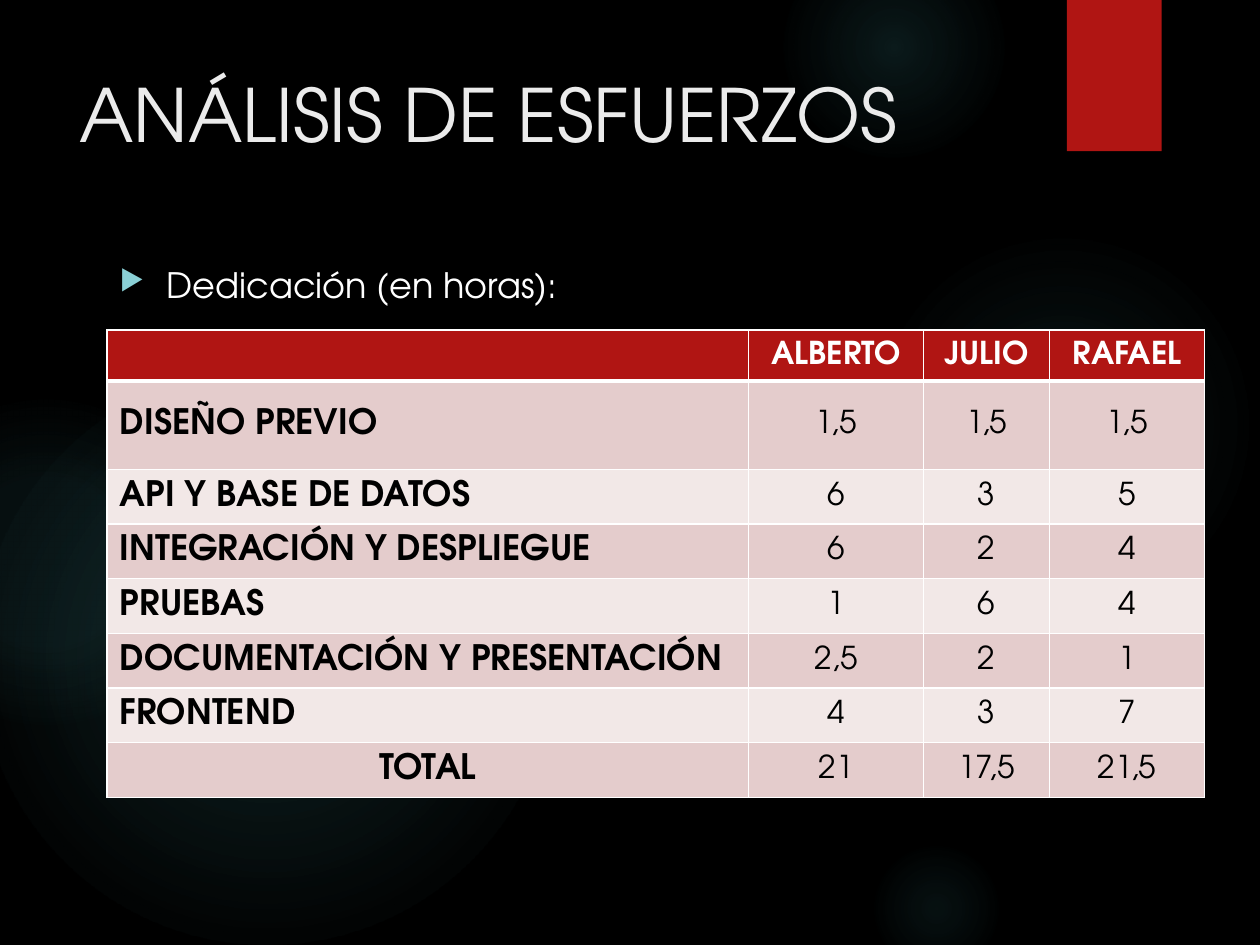
from lxml import etree
from pptx import Presentation
from pptx.dml.color import RGBColor
from pptx.enum.shapes import MSO_SHAPE as Preset
from pptx.enum.text import MSO_ANCHOR as Anchor, PP_ALIGN as Align
from pptx.oxml import parse_xml
from pptx.oxml.ns import nsdecls, qn
from pptx.util import Cm, Pt

BLACK = RGBColor(0x00, 0x00, 0x00)
WHITE = RGBColor(0xFF, 0xFF, 0xFF)
TITLE_GREY = RGBColor(0xEB, 0xEB, 0xEB)
RED = RGBColor(0xB0, 0x15, 0x13)
BAND_DARK = RGBColor(0xE4, 0xCC, 0xCC)
BAND_LIGHT = RGBColor(0xF2, 0xE8, 0xE7)
GLOW = RGBColor(0x50, 0xB9, 0xC1)
BULLET = RGBColor(0x8A, 0xD0, 0xD6)
FONT = "TeX Gyre Adventor"

GLOWS = [
    ((17.5, 4.65, 7.82), ((0, 7), (36, 6), (69, 0))),
    ((15.8, -1.27, 4.45), ((0, 14), (36, 7), (73, 0))),
    ((17.5, 16.94, 2.74), ((0, 9), (36, 5), (66, 0))),
    ((-0.43, 7.42, 11.63), ((0, 11), (36, 10), (75, 0))),
    ((-2.34, 8.05, 6.55), ((0, 8), (36, 8), (72, 0))),
]
HEADER = ["", "ALBERTO", "JULIO", "RAFAEL"]
EFFORT = [
    ["DISEÑO PREVIO", "1,5", "1,5", "1,5"],
    ["API Y BASE DE DATOS", "6", "3", "5"],
    ["INTEGRACIÓN Y DESPLIEGUE", "6", "2", "4"],
    ["PRUEBAS", "1", "6", "4"],
    ["DOCUMENTACIÓN Y PRESENTACIÓN", "2,5", "2", "1"],
    ["FRONTEND", "4", "3", "7"],
    ["TOTAL", "21", "17,5", "21,5"],
]
COLUMN_SHARES = [12.93, 3.53, 2.54, 3.12]
ROW_HEIGHT, TALL_ROW_HEIGHT = 1.03, 1.78


def apply_format(target, values):
    """Set each attribute of the target from a dict of format values."""
    for name, value in values.items():
        setattr(target, name, value)


def write_text(paragraph, text, size, color, bold=False):
    """Add one formatted run to the paragraph."""
    run = paragraph.add_run()
    run.text = text
    apply_format(run.font, {"name": FONT, "size": Pt(size), "bold": bold})
    run.font.color.rgb = color


def add_plain_shape(slide, preset, box):
    """Add a preset shape with neither shadow nor outline."""
    shape = slide.shapes.add_shape(preset, *map(Cm, box))
    shape.shadow.inherit = False
    shape.line.fill.background()
    return shape


def add_glow(slide, box, stops):
    """Add a circle that fades out from its centre."""
    left, top, diameter = box
    shape = add_plain_shape(slide, Preset.OVAL, (left, top, diameter, diameter))
    stop_xml = "".join(
        f'<a:gs pos="{position * 1000}"><a:srgbClr val="{GLOW}">'
        f'<a:alpha val="{alpha * 1000}"/></a:srgbClr></a:gs>'
        for position, alpha in stops
    )
    gradient = parse_xml(
        f'<a:gradFill {nsdecls("a")}><a:gsLst>{stop_xml}</a:gsLst><a:path path="circle">'
        '<a:fillToRect l="50000" t="50000" r="50000" b="50000"/></a:path></a:gradFill>'
    )
    shape.element.spPr.find(qn("a:prstGeom")).addnext(gradient)


def add_backdrop(slide, width):
    """Paint the black background, the glows and the red ribbon."""
    slide.background.fill.solid()
    slide.background.fill.fore_color.rgb = BLACK
    for box, stops in GLOWS:
        add_glow(slide, box, stops)
    ribbon = add_plain_shape(slide, Preset.RECTANGLE, (width - 3.89, 0, 1.91, 3.05))
    ribbon.fill.solid()
    ribbon.fill.fore_color.rgb = RED


def add_text_box(slide, box, text, size, color):
    """Add a wrapping text box and return its paragraph."""
    frame = slide.shapes.add_textbox(*map(Cm, box)).text_frame
    apply_format(frame, {"word_wrap": True, "vertical_anchor": Anchor.TOP})
    paragraph = frame.paragraphs[0]
    write_text(paragraph, text, size, color)
    return paragraph


def add_bullet_line(slide, box, text):
    """Add a line of text with a triangular bullet."""
    paragraph = add_text_box(slide, box, text, 20, WHITE)
    paragraph.space_before = Pt(10)
    properties = paragraph._p.get_or_add_pPr()
    properties.set("marL", str(Cm(0.95)))
    properties.set("indent", str(-Cm(0.95)))
    color = etree.SubElement(properties, qn("a:buClr"))
    etree.SubElement(color, qn("a:srgbClr"), val=str(BULLET))
    etree.SubElement(properties, qn("a:buSzPct"), val="80000")
    etree.SubElement(properties, qn("a:buChar"), char="▶")


def set_borders(cell, widths):
    """Give the cell white borders, with widths in points by side."""
    properties = cell._tc.get_or_add_tcPr()
    for index, side in enumerate("LRTB"):
        border = parse_xml(
            f'<a:ln{side} {nsdecls("a")} w="{Pt(widths.get(side, 1))}"><a:solidFill>'
            f'<a:srgbClr val="{WHITE}"/></a:solidFill></a:ln{side}>'
        )
        properties.insert(index, border)


def fill_cell(cell, text, row, column):
    """Style one cell according to its row and column."""
    is_header, is_label = row == 0, column == 0
    cell.fill.solid()
    cell.fill.fore_color.rgb = RED if is_header else (BAND_LIGHT, BAND_DARK)[row % 2]
    cell.vertical_anchor = Anchor.MIDDLE
    set_borders(cell, {0: {"B": 3}, 1: {"T": 3}}.get(row, {}))
    paragraph = cell.text_frame.paragraphs[0]
    centred = not is_label or text == "TOTAL"
    paragraph.alignment = Align.CENTER if centred else Align.LEFT
    if text:
        size = 20 if is_label else 18
        write_text(paragraph, text, size, WHITE if is_header else BLACK, is_header or is_label)


def add_effort_table(slide, left, top, width):
    """Add the table of hours per task and person."""
    rows = [HEADER, *EFFORT]
    heights = [TALL_ROW_HEIGHT if index == 1 else ROW_HEIGHT for index in range(len(rows))]
    box = map(Cm, (left, top, width, sum(heights)))
    table = slide.shapes.add_table(len(rows), len(HEADER), *box).table
    for column, share in zip(table.columns, COLUMN_SHARES):
        column.width = Cm(width * share / sum(COLUMN_SHARES))
    for row, height in zip(table.rows, heights):
        row.height = Cm(height)
    for row, values in enumerate(rows):
        for column, text in enumerate(values):
            fill_cell(table.cell(row, column), text, row, column)


def main():
    """Build the slide and save it."""
    presentation = Presentation()
    apply_format(presentation, {"slide_width": Cm(25.4), "slide_height": Cm(19.05)})
    slide = presentation.slides.add_slide(presentation.slide_layouts[6])
    add_backdrop(slide, 25.4)
    add_text_box(slide, (1.35, 1.27, 19.6, 3.89), "ANÁLISIS DE ESFUERZOS", 42, TITLE_GREY)
    add_bullet_line(slide, (2.16, 5.18, 22.28, 12.22), "Dedicación (en horas):")
    add_effort_table(slide, 2.16, 6.65, 22.12)
    presentation.save("out.pptx")


if __name__ == "__main__":
    main()
